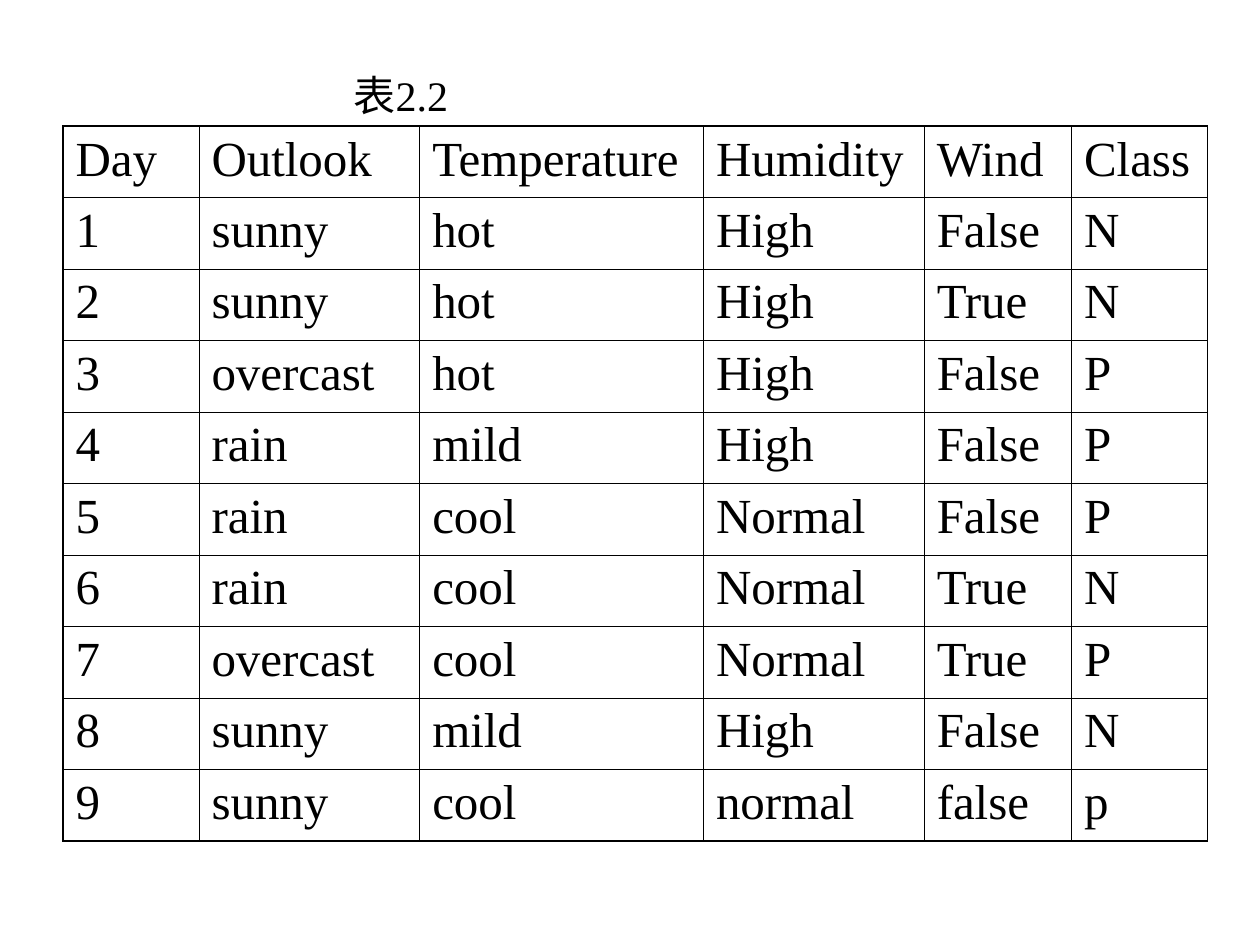
from lxml import etree
from pptx import Presentation
from pptx import util as u
from pptx.dml.color import RGBColor
from pptx.enum import text
from pptx.oxml import ns

BLACK = RGBColor(0, 0, 0)
FONT = "Times New Roman"
THIN, THICK = 0.45, 1.08

ROWS = [
    ["Day", "Outlook", "Temperature", "Humidity", "Wind", "Class"],
    ["1", "sunny", "hot", "High", "False", "N"],
    ["2", "sunny", "hot", "High", "True", "N"],
    ["3", "overcast", "hot", "High", "False", "P"],
    ["4", "rain", "mild", "High", "False", "P"],
    ["5", "rain", "cool", "Normal", "False", "P"],
    ["6", "rain", "cool", "Normal", "True", "N"],
    ["7", "overcast", "cool", "Normal", "True", "P"],
    ["8", "sunny", "mild", "High", "False", "N"],
    ["9", "sunny", "cool", "normal", "false", "p"],
]
WIDTHS = [2.74, 4.45, 5.72, 4.45, 2.97, 2.74]
HEIGHT = 1.44


def write(frame, words, size=28, color=BLACK, font=FONT):
    run = frame.paragraphs[0].add_run()
    run.text = words
    run.font.size = u.Pt(size)
    run.font.name = font
    run.font.color.rgb = color


def border(cell, side, width):
    props = cell._tc.get_or_add_tcPr()
    line = etree.SubElement(props, ns.qn(f"a:ln{side}"), w=str(u.Pt(width)))
    fill = etree.SubElement(line, ns.qn("a:solidFill"))
    etree.SubElement(fill, ns.qn("a:srgbClr"), val=str(BLACK))


deck = Presentation()
deck.slide_width, deck.slide_height = u.Cm(25.4), u.Cm(19.05)
slide = deck.slides.add_slide(deck.slide_layouts[6])

# Caption
label = slide.shapes.add_textbox(u.Cm(6.88), u.Cm(1.27), u.Cm(2.62), u.Cm(1.27))
label.text_frame.word_wrap = False
label.text_frame.auto_size = text.MSO_AUTO_SIZE.SHAPE_TO_FIT_TEXT
write(label.text_frame, "表2.2", size=24)

# Table grid
frame = slide.shapes.add_table(
    len(ROWS), len(WIDTHS), u.Cm(1.27), u.Cm(2.54),
    u.Cm(sum(WIDTHS)), u.Cm(HEIGHT * len(ROWS)))
table = frame.table
table.first_row = table.horz_banding = False
for col, width in zip(table.columns, WIDTHS):
    col.width = u.Cm(width)
for row in table.rows:
    row.height = u.Cm(HEIGHT)

# Cells: thick lines on the outer edge, thin lines inside
for r, row in enumerate(ROWS):
    for c, words in enumerate(row):
        cell = table.cell(r, c)
        write(cell.text_frame, words)
        edges = {"L": c == 0, "R": c == len(WIDTHS) - 1,
                 "T": r == 0, "B": r == len(ROWS) - 1}
        for side, outer in edges.items():
            border(cell, side, THICK if outer else THIN)
        cell.fill.background()

deck.save("out.pptx")
